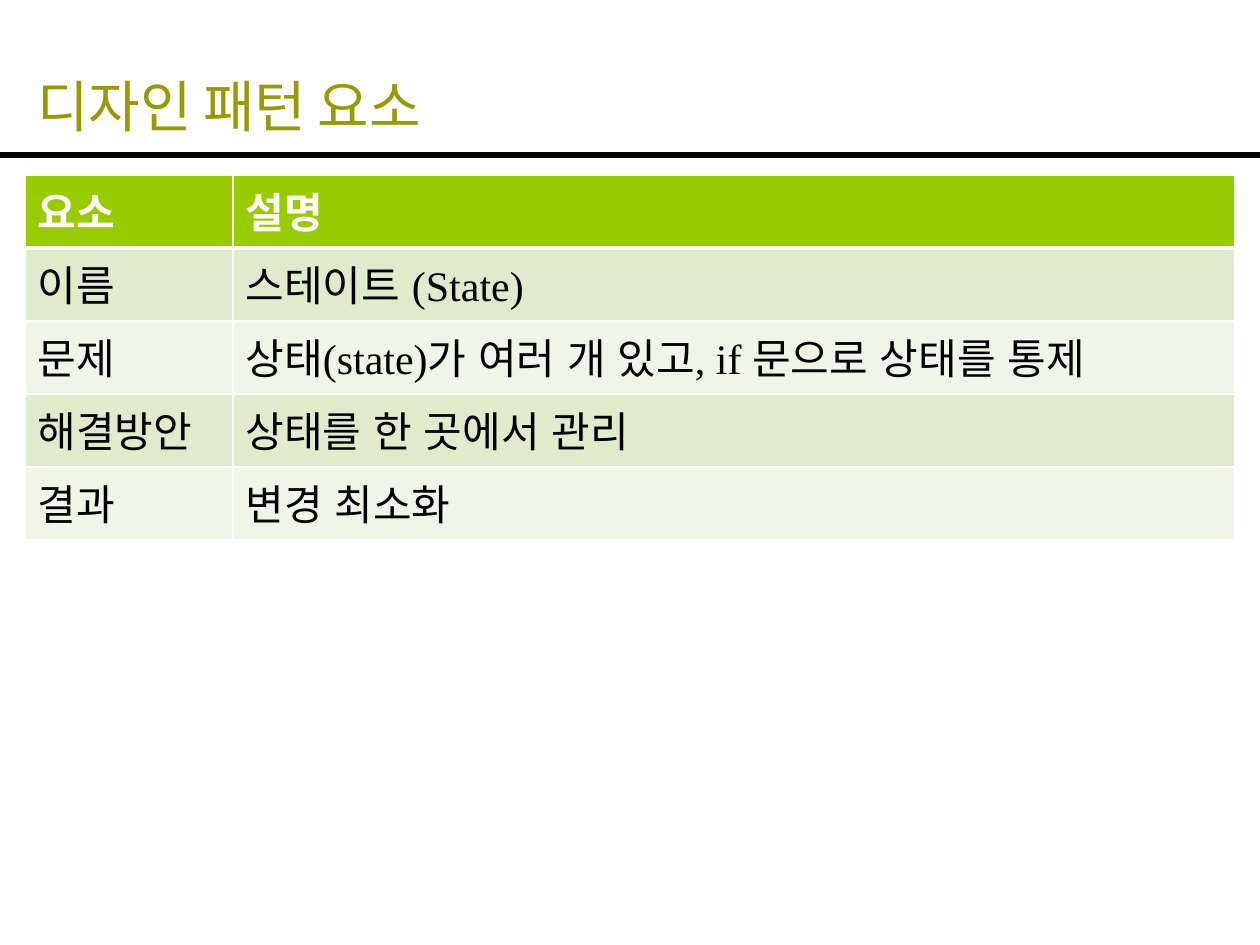
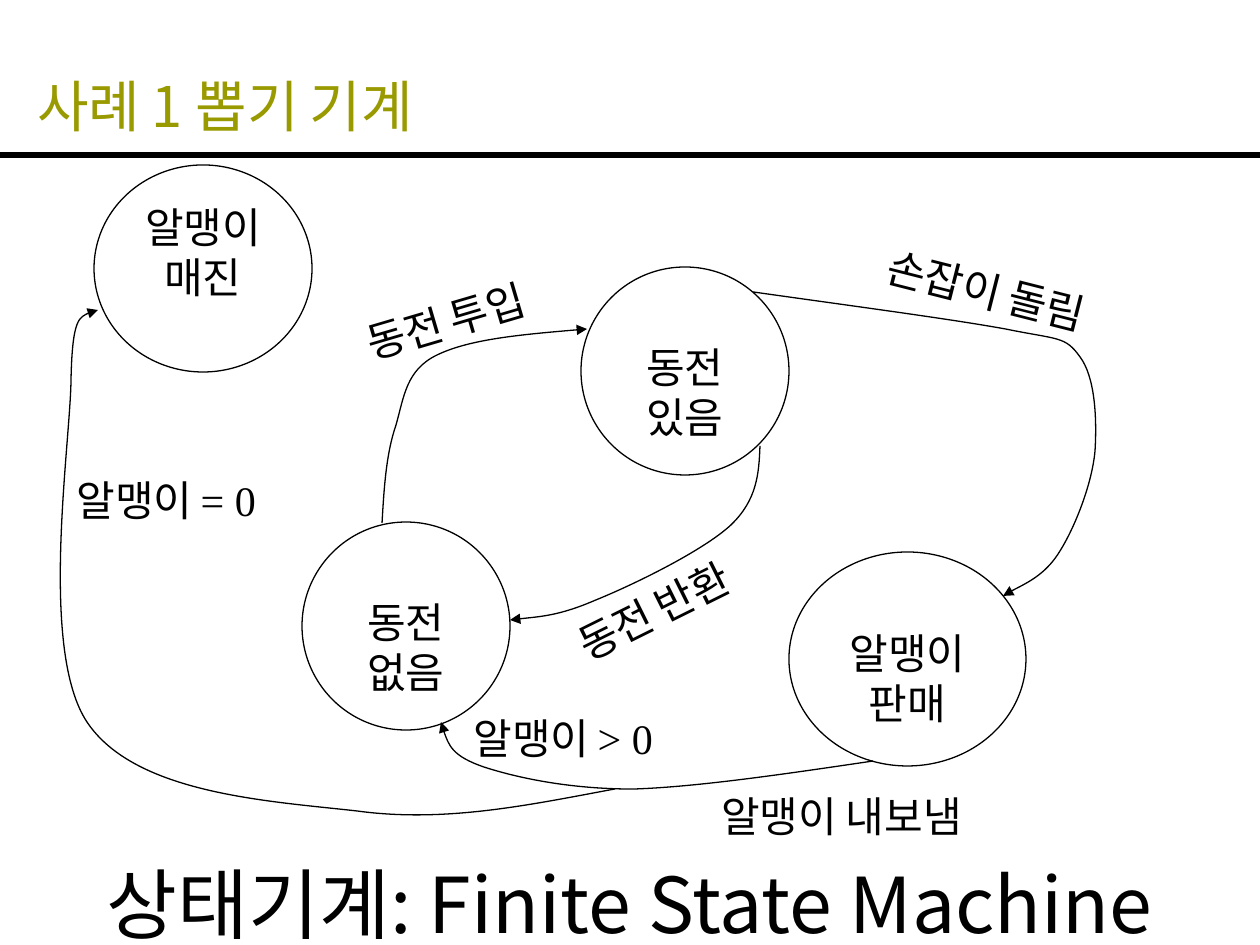
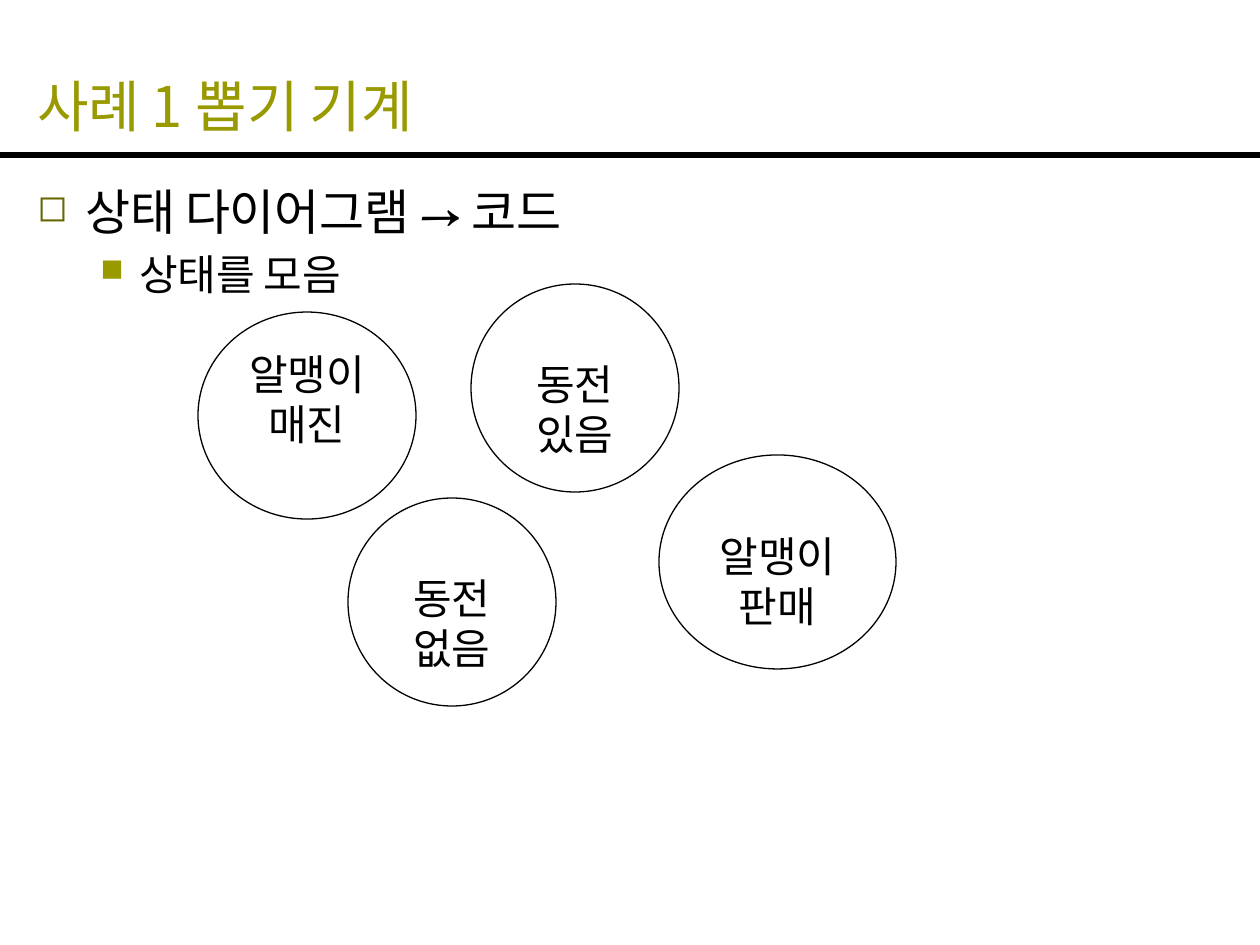
from dataclasses import dataclass

from lxml import etree
from pptx import Presentation
from pptx import util as u
from pptx.dml.color import RGBColor
from pptx.enum import lang, shapes, text
from pptx.oxml import ns

SCALE = 914400 / 126


@dataclass(frozen=True)
class Theme:
    ink: str = "000000"
    olive: str = "999900"
    moss: str = "666600"
    white: str = "FFFFFF"
    head: str = "99CC00"
    bands: tuple = ("DEECCC", "EFF6E7")
    sans: str = "Noto Sans CJK KR"
    serif: str = "Times New Roman"
    round: str = "Vollkorn"
    mark: str = "OpenSymbol"
    huge: int = 44
    title: int = 32
    lead: int = 28
    base: int = 24
    thin: float = 0.75
    rule: int = 3


THEME = Theme()

ROWS = [
    ("요소", "설명"),
    ("이름", "스테이트 (State)"),
    ("문제", "상태(state)가 여러 개 있고, if 문으로 상태를 통제"),
    ("해결방안", "상태를 한 곳에서 관리"),
    ("결과", "변경 최소화"),
]

STATES = [
    (["알맹이 매진"], 218, 207, 6),
    (["동전", "있음"], 208, 208, 44),
    (["알맹이", "판매"], 237, 214, 44),
    (["동전", "없음"], 208, 208, 44),
]
FLOW = [(94, 165), (581, 267), (789, 552), (302, 522)]
GROUP = [(198, 312), (471, 284), (659, 455), (348, 498)]

CURVES = [
    [(753, 292), (852, 306), (950, 319), (1005, 329),
     (1059, 340), (1065, 336), (1080, 357),
     (1095, 377), (1097, 418), (1095, 451),
     (1092, 484), (1075, 527), (1060, 551),
     (1045, 576), (1012, 590), (1003, 596)],
    [(760, 446), (759, 474), (757, 500), (731, 525),
     (703, 551), (633, 585), (596, 600),
     (559, 616), (534, 617), (510, 620)],
    [(382, 523), (384, 489), (386, 454), (396, 425),
     (404, 397), (406, 370), (437, 355),
     (470, 339), (528, 334), (587, 329)],
    [(873, 761), (785, 774), (697, 787), (633, 789),
     (567, 789), (515, 777), (484, 767),
     (452, 756), (446, 740), (441, 722)],
    [(615, 789), (529, 805), (445, 823), (357, 811),
     (268, 801), (135, 794), (87, 722),
     (40, 651), (69, 454), (71, 384),
     (72, 316), (86, 312), (98, 310)],
]

LABELS = [
    ("손잡이 돌림", 873, 261, 248, 14.2),
    ("동전 반환", 559, 575, 205, 333.5),
    ("동전 투입", 352, 287, 205, 343.6),
    ("알맹이 내보냄", 709, 784, 291, 0),
    ("알맹이 > 0", 461, 706, 219, 0),
    ("알맹이 = 0", 64, 468, 219, 0),
]


def px(size):
    return u.Emu(round(size * SCALE))


def rgb(tint):
    return RGBColor.from_string(tint)


def node(root, tag, **attrs):
    return etree.SubElement(root, ns.qn(tag), attrs)


def write(frame, words, size=THEME.base, font=THEME.serif, east=THEME.round,
          tint=THEME.ink, bold=False, align=None):
    lines = [words] if isinstance(words, str) else words
    for i, line in enumerate(lines):
        para = frame.add_paragraph() if i else frame.paragraphs[0]
        para.alignment = align
        run = para.add_run()
        run.text = line
        run.font.size = u.Pt(size)
        run.font.bold = bold
        run.font.color.rgb = rgb(tint)
        run.font.name = font
        run.font.language_id = lang.MSO_LANGUAGE_ID.KOREAN
        run.font._element.set("kern", "0")
        node(run.font._element, "a:ea", typeface=east)
    return frame


def box(slide, x, y, w, h, wrap=True):
    shape = slide.shapes.add_textbox(px(x), px(y), px(w), px(h))
    shape.text_frame.word_wrap = wrap
    if not wrap:
        shape.text_frame.auto_size = text.MSO_AUTO_SIZE.SHAPE_TO_FIT_TEXT
    return shape


def page(deck, title):
    slide = deck.slides.add_slide(deck.slide_layouts[6])
    rule = slide.shapes.add_connector(
        shapes.MSO_CONNECTOR.STRAIGHT, 0, px(155), px(1260), px(155))
    rule.line.color.rgb = rgb(THEME.ink)
    rule.line.width = u.Pt(THEME.rule)
    node(rule._element.spPr, "a:effectLst")
    frame = box(slide, 25, 38, 1211, 107).text_frame
    frame.vertical_anchor = text.MSO_ANCHOR.BOTTOM
    write(frame, title, size=THEME.title, font=THEME.sans, tint=THEME.olive)
    return slide


def border(cell, base):
    props = cell._tc.get_or_add_tcPr()
    for side, width in (("L", 1), ("R", 1), ("T", 1), ("B", base)):
        line = node(props, "a:ln" + side, w=str(u.Pt(width)))
        node(node(line, "a:solidFill"), "a:srgbClr", val=THEME.white)


def grid(slide, rows):
    table = slide.shapes.add_table(
        len(rows), 2, px(25), px(175), px(1210), px(73 * len(rows))).table
    for col, width in zip(table.columns, (208, 1002)):
        col.width = px(width)
    for i, row in enumerate(rows):
        head = i == 0
        for j, words in enumerate(row):
            cell = table.cell(i, j)
            cell.margin_top = px(5)
            border(cell, 3 if head else 1)
            cell.fill.solid()
            cell.fill.fore_color.rgb = rgb(
                THEME.head if head else THEME.bands[(i - 1) % 2])
            write(cell.text_frame, words, east=THEME.sans, bold=head,
                  tint=THEME.white if head else THEME.ink)


def outline(shape):
    shape.shadow.inherit = False
    shape.fill.background()
    shape.line.color.rgb = rgb(THEME.ink)
    shape.line.width = u.Pt(THEME.thin)


def states(slide, spots):
    for (words, w, h, top), (x, y) in zip(STATES, spots):
        shape = slide.shapes.add_shape(
            shapes.MSO_SHAPE.OVAL, px(x), px(y), px(w), px(h))
        outline(shape)
        frame = shape.text_frame
        frame.word_wrap = True
        frame.vertical_anchor = text.MSO_ANCHOR.TOP
        frame.margin_top = px(top)
        write(frame, words, font=THEME.round, align=text.PP_ALIGN.CENTER)


def curve(slide, dots):
    start, *rest = [(px(x), px(y)) for x, y in dots]
    pen = slide.shapes.build_freeform(*start)
    pen.add_line_segments(rest, close=False)
    shape = pen.convert_to_shape()
    outline(shape)
    steps = list(shape._element.iter(ns.qn("a:lnTo")))
    for i in range(0, len(steps), 3):
        bend = node(steps[i].getparent(), "a:cubicBezTo")
        for step in steps[i:i + 3]:
            bend.append(step[0])
            step.getparent().remove(step)
    node(shape.line._get_or_add_ln(), "a:tailEnd", type="triangle")


def label(slide, words, x, y, w, turn):
    shape = box(slide, x, y, w, 63, wrap=False)
    shape.rotation = turn
    write(shape.text_frame, words)


def bullet(para, left, hang, mark, tint):
    props = para._p.get_or_add_pPr()
    props.set("marL", str(px(left)))
    props.set("indent", str(px(-hang)))
    node(node(props, "a:spcBef"), "a:spcPct", val="20000")
    node(node(props, "a:buClr"), "a:srgbClr", val=tint)
    node(props, "a:buSzPct", val="75000")
    node(props, "a:buFont", typeface=THEME.mark)
    node(props, "a:buChar", char=mark)


def points(slide):
    frame = box(slide, 25, 175, 1211, 670).text_frame
    write(frame, ["상태 다이어그램 → 코드", "상태를 모음"], font=THEME.sans)
    lead, sub = frame.paragraphs
    lead.runs[0].font.size = u.Pt(THEME.lead)
    sub.level = 1
    bullet(lead, 48, 48, "◻", THEME.moss)
    bullet(sub, 102, 39, "■", THEME.olive)
    return frame


def main():
    deck = Presentation()
    deck.slide_width, deck.slide_height = px(1260), px(945)

    grid(page(deck, "디자인 패턴 요소"), ROWS)

    flow = page(deck, "사례 1 뽑기 기계")
    states(flow, FLOW)
    for dots in CURVES:
        curve(flow, dots)
    for item in LABELS:
        label(flow, *item)
    write(box(flow, 94, 850, 1099, 106, wrap=False).text_frame,
          "상태기계: Finite State Machine", size=THEME.huge, font=THEME.sans)

    group = page(deck, "사례 1 뽑기 기계")
    points(group)
    states(group, GROUP)

    deck.save("out.pptx")


if __name__ == "__main__":
    main()
